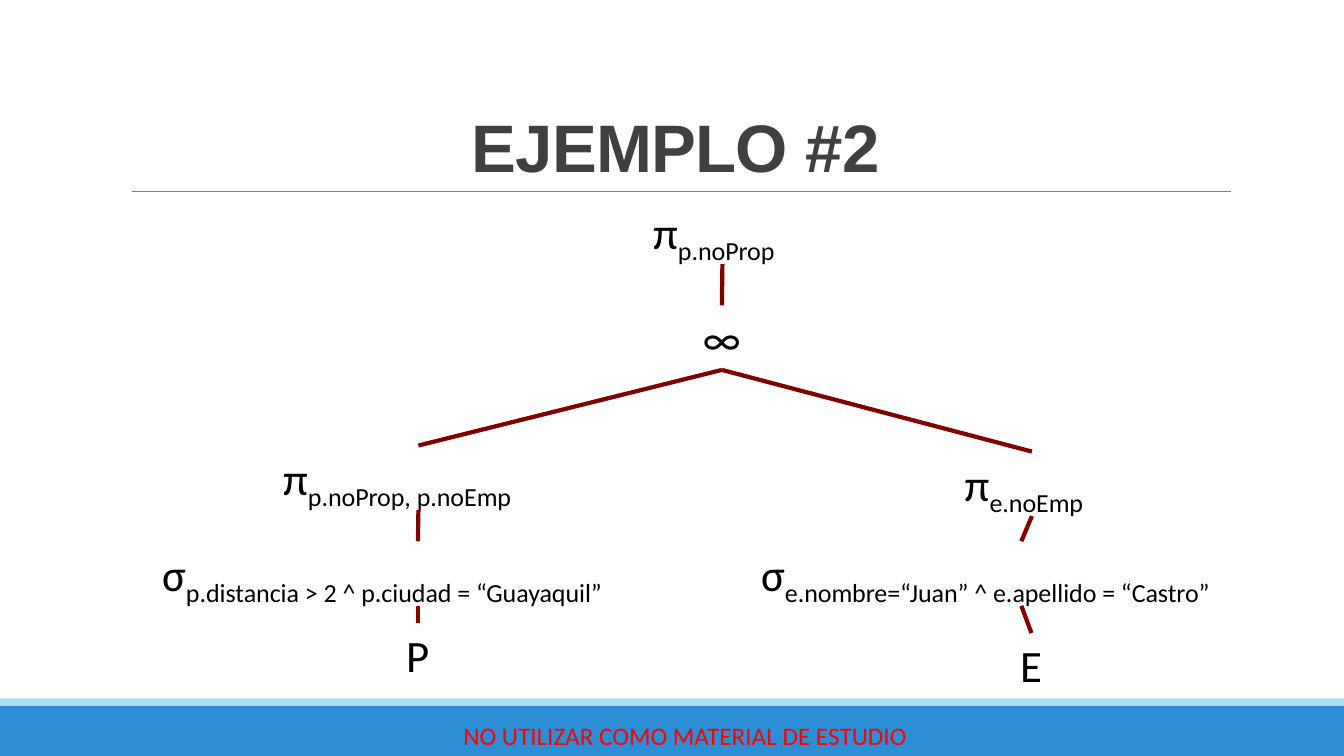
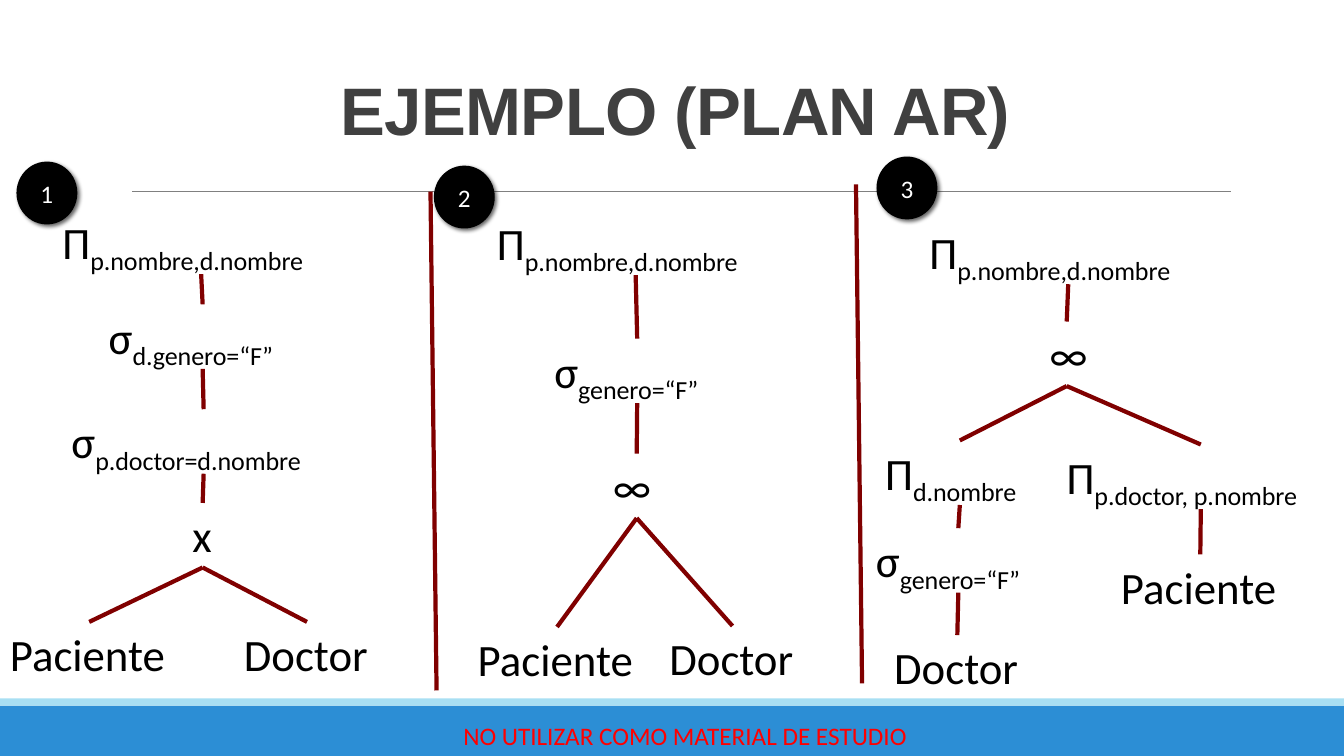
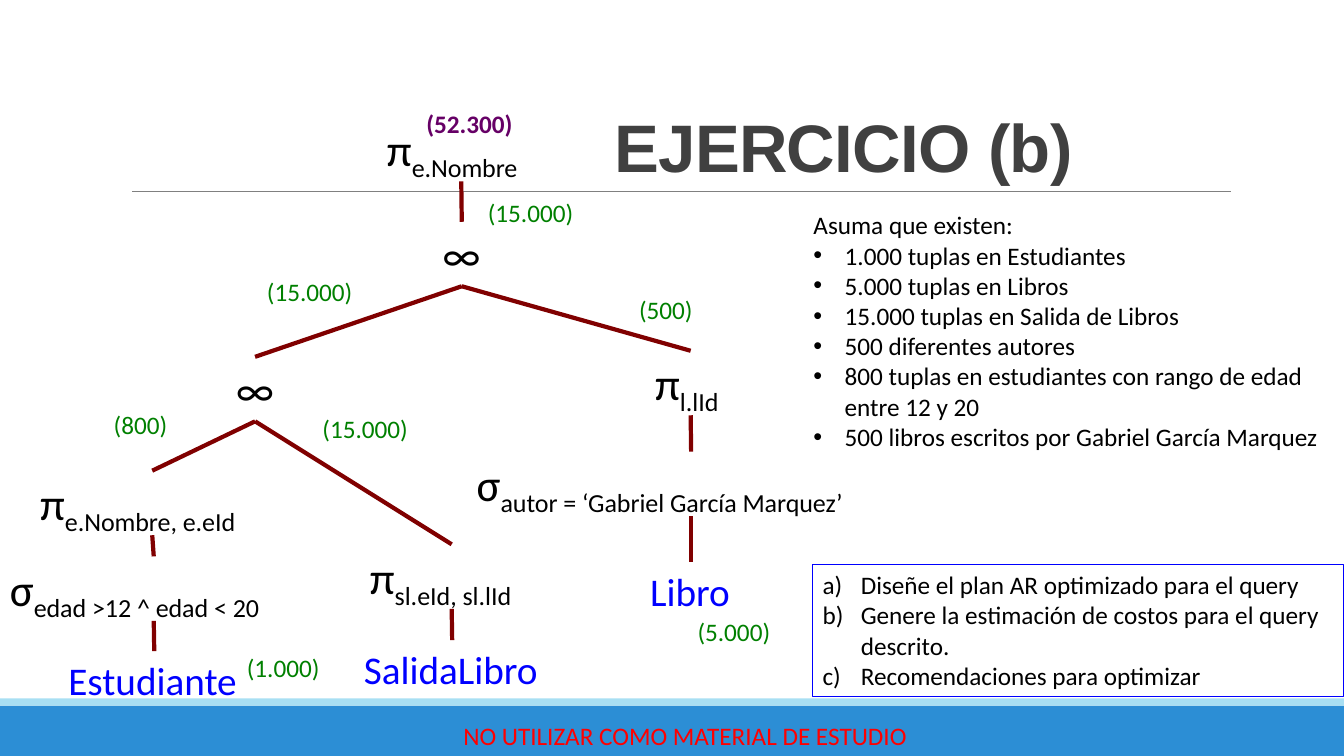
"""Build three slides of relational algebra query trees."""
import pptx
import pptx.dml.color
import pptx.enum.shapes
import pptx.enum.text
import pptx.oxml.ns
import pptx.util
from dataclasses import dataclass
from lxml import etree

Inches, Pt = pptx.util.Inches, pptx.util.Pt
RGB = pptx.dml.color.RGBColor.from_string
SHAPE = pptx.enum.shapes.MSO_SHAPE
STRAIGHT = pptx.enum.shapes.MSO_CONNECTOR.STRAIGHT
ALIGN = pptx.enum.text.PP_ALIGN
ANCHOR = pptx.enum.text.MSO_ANCHOR
FIT = pptx.enum.text.MSO_AUTO_SIZE.SHAPE_TO_FIT_TEXT
qn = pptx.oxml.ns.qn


@dataclass(frozen=True)
class Theme:
    heading_font: str = "Arial"
    body_font: str = "Calibri"
    title: str = "404040"
    ink: str = "000000"
    paper: str = "FFFFFF"
    band: str = "2C8ED5"
    strip: str = "A8DFF3"
    rule: str = "808080"
    notice: str = "FF0000"
    edge: str = "800000"
    blue: str = "0000FF"
    green: str = "008000"
    purple: str = "660066"
    title_size: int = 48
    node_size: int = 32
    leaf_size: int = 28
    body_size: int = 18


T = Theme()
FOOTER = "NO UTILIZAR COMO MATERIAL DE ESTUDIO"
JOINS = ("∞", "x")
PROJECTIONS = ("π", "Π")
BLUE_LEAF = dict(size=T.leaf_size, color=T.blue)

# Nodes: name, parent, symbol, subscript, left, top, width
EXAMPLE_TREE = [
    ("root", None, "π", "p.noProp", 6.38, 1.98, 1.57),
    ("join", "root", "∞", "", 6.87, 3.03, 0.58),
    ("p_cols", "join", "π", "p.noProp, p.noEmp", 2.71, 4.42, 2.88),
    ("p_rows", "p_cols", "σ", "p.distancia > 2 ^ p.ciudad = “Guayaquil”", 1.51, 5.37, 5.27),
    ("p", "p_rows", "P", "", 3.93, 6.18, 0.43),
    ("e_cols", "join", "π", "e.noEmp", 9.47, 4.48, 1.53),
    ("e_rows", "e_cols", "σ", "e.nombre=“Juan” ^ e.apellido = “Castro”", 7.45, 5.37, 5.36),
    ("e", "e_rows", "E", "", 10.02, 6.28, 0.42),
]
PLAN_TREES = [
    [
        ("root", None, "Π", "p.nombre,d.nombre", 0.52, 2.08, 2.95),
        ("genre", "root", "σ", "d.genero=“F”", 0.98, 3.02, 2.06),
        ("match", "genre", "σ", "p.doctor=d.nombre", 0.61, 4.06, 2.82),
        ("product", "match", "x", "", 1.81, 4.99, 0.4),
        ("patient", "product", "Paciente", "", 0, 6.17, 1.77),
        ("doctor", "product", "Doctor", "", 2.32, 6.17, 1.45),
    ],
    [
        ("root", None, "Π", "p.nombre,d.nombre", 4.83, 2.09, 2.95),
        ("genre", "root", "σ", "genero=“F”", 5.4, 3.36, 1.84),
        ("join", "genre", "∞", "", 5.98, 4.5, 0.67),
        ("patient", "join", "Paciente", "", 4.64, 6.22, 1.77),
        ("doctor", "join", "Doctor", "", 6.54, 6.21, 1.45),
    ],
    [
        ("root", None, "Π", "p.nombre,d.nombre", 9.12, 2.18, 2.95),
        ("join", "root", "∞", "", 10.31, 3.19, 0.54),
        ("d_cols", "join", "Π", "d.nombre", 8.68, 4.37, 1.68),
        ("genre", "d_cols", "σ", "genero=“F”", 8.59, 5.24, 1.83),
        ("doctor", "genre", "Doctor", "", 8.77, 6.3, 1.45),
        ("p_cols", "join", "Π", "p.doctor, p.nombre", 10.48, 4.41, 2.86),
        ("patient", "p_cols", "Paciente", "", 11.02, 5.5, 1.77),
    ],
]
PLAN_DIVIDERS = [(4.33, 6.85, 4.27, 1.9), (8.55, 6.78, 8.49, 1.83)]
PLAN_BADGES = [(0.17, 1.61), (4.31, 1.65), (8.7, 1.56)]
EXERCISE_TREE = [
    ("root", None, "π", "e.Nombre", 3.74, 1.16, 1.67),
    ("book_join", "root", "∞", "", 4.29, 2.2, 0.58),
    ("loan_join", "book_join", "∞", "", 2.24, 3.54, 0.58),
    ("e_cols", "loan_join", "π", "e.Nombre, e.eId", 0.3, 4.67, 2.42),
    ("e_rows", "e_cols", "σ", "edad >12 ^ edad < 20", 0, 5.52, 3.05),
    ("student", "e_rows", "Estudiante", "", 0.58, 6.46, 1.9),
    ("sl_cols", "loan_join", "π", "sl.eId, sl.lId", 3.57, 5.4, 1.82),
    ("loan", "sl_cols", "SalidaLibro", "", 3.51, 6.35, 1.95),
    ("l_cols", "book_join", "π", "l.lId", 6.4, 3.48, 0.9),
    ("l_rows", "l_cols", "σ", "autor = ‘Gabriel García Marquez’", 4.63, 4.48, 4.45),
    ("book", "l_rows", "Libro", "", 6.35, 5.58, 1.01),
]
COSTS = [
    ("(1.000)", 2.35, 6.42, 0.93), ("(800)", 1.03, 4.01, 0.74),
    ("(15.000)", 3.1, 4.05, 1.06), ("(15.000)", 2.55, 2.69, 1.06),
    ("(5.000)", 6.82, 6.07, 0.93), ("(500)", 6.24, 2.87, 0.74),
    ("(15.000)", 4.74, 1.91, 1.06),
]
TOTAL_COST = ("(52.300)", 4.13, 1.03, 1.06)
ASSUMPTIONS = [
    "Asuma que existen:",
    "1.000 tuplas en Estudiantes",
    "5.000 tuplas en Libros",
    "15.000 tuplas en Salida de Libros",
    "500 diferentes autores",
    "800 tuplas en estudiantes con rango de edad entre 12 y 20",
    "500 libros escritos por Gabriel García Marquez",
]
TASKS = [
    "Diseñe el plan AR optimizado para el query",
    "Genere la estimación de costos para el query descrito.",
    "Recomendaciones para optimizar",
]


def add_bullet(p, indent, tag, **attrs):
    pPr = p._p.get_or_add_pPr()
    pPr.set("marL", str(Inches(indent)))
    pPr.set("indent", str(-Inches(indent)))
    etree.SubElement(pPr, qn("a:buFont"), typeface=T.heading_font if tag == "a:buChar" else "+mj-lt")
    etree.SubElement(pPr, qn(tag), **attrs)


def write(sp, lines, size=T.body_size, color=T.ink, font=T.body_font, bold=False,
          align=ALIGN.LEFT, anchor=ANCHOR.TOP, wrap=True, fit=False, sub="",
          line_spacing=None, tracking=None):
    tf = sp.text_frame
    tf.word_wrap = wrap
    tf.vertical_anchor = anchor
    if fit:
        tf.auto_size = FIT
    for i, line in enumerate(lines):
        p = tf.paragraphs[0] if i == 0 else tf.add_paragraph()
        p.alignment = align
        if line_spacing:
            p.line_spacing = line_spacing
        for text, baseline in ((line, None), (sub, "-25000")):
            if not text:
                continue
            r = p.add_run()
            r.text = text
            r.font.name, r.font.size, r.font.bold = font, Pt(size), bold
            r.font.color.rgb = RGB(color)
            if baseline:
                r._r.get_or_add_rPr().set("baseline", baseline)
            if tracking:
                r._r.get_or_add_rPr().set("spc", str(tracking))
    return tf


def add_box(s, x, y, w, h):
    return s.shapes.add_textbox(Inches(x), Inches(y), Inches(w), Inches(h))


def add_shape(s, kind, x, y, w, h, fill=None, line=None, weight=1):
    sp = s.shapes.add_shape(kind, Inches(x), Inches(y), Inches(w), Inches(h))
    sp.shadow.inherit = False
    if fill:
        sp.fill.solid()
        sp.fill.fore_color.rgb = RGB(fill)
    else:
        sp.fill.background()
    if line:
        sp.line.color.rgb = RGB(line)
        sp.line.width = Pt(weight)
    else:
        sp.line.fill.background()
    return sp


def add_line(s, x1=0, y1=0, x2=0, y2=0, color=T.edge, weight=3):
    line = s.shapes.add_connector(STRAIGHT, Inches(x1), Inches(y1), Inches(x2), Inches(y2))
    line.line.color.rgb = RGB(color)
    line.line.width = Pt(weight)
    etree.SubElement(line._element.spPr, qn("a:effectLst"))
    return line


def add_tree(s, nodes, leaf=None):
    placed = {}
    for name, parent, symbol, sub, x, y, w in nodes:
        is_leaf = not sub and symbol not in JOINS
        style = leaf if leaf and is_leaf else dict(size=T.node_size)
        h = 0.57 if style["size"] == T.leaf_size else 0.64
        if symbol in PROJECTIONS:
            sp = add_shape(s, SHAPE.RECTANGLE, x, y, w, h, T.paper)
        else:
            sp = add_box(s, x, y, w, h)
        write(sp, [symbol], sub=sub, wrap=False, fit=True, **style)
        placed[name] = sp
        if parent:
            edge = add_line(s)
            edge.begin_connect(placed[parent], 2)
            edge.end_connect(sp, 0)


def add_badge(s, number, x, y):
    sp = add_shape(s, SHAPE.OVAL, x, y, 0.59, 0.61, T.ink, T.ink)
    effects = sp._element.spPr.find(qn("a:effectLst"))
    shadow = etree.SubElement(effects, qn("a:outerShdw"), blurRad=str(Pt(3)), dist=str(Pt(2)),
                              dir="2700000", algn="tl", rotWithShape="0")
    color = etree.SubElement(shadow, qn("a:srgbClr"), val=T.ink)
    etree.SubElement(color, qn("a:alpha"), val="60000")
    write(sp, [str(number)], color=T.paper, align=ALIGN.CENTER, anchor=ANCHOR.MIDDLE)


def add_cost(s, text, x, y, w, **fmt):
    write(add_box(s, x, y, w, 0.4), [text], wrap=False, fit=True, **fmt)


def new_slide(prs, title, x=1.2, w=11, h=1.59):
    s = prs.slides.add_slide(prs.slide_layouts[6])
    add_shape(s, SHAPE.RECTANGLE, 0, 7, 13.33, 0.5, T.band)
    add_shape(s, SHAPE.RECTANGLE, 0, 6.93, 13.33, 0.07, T.strip)
    add_line(s, 1.31, 1.9, 12.21, 1.9, T.rule, 0.5)
    write(add_box(s, 4.16, 7.1, 5.27, 0.4), [FOOTER], color=T.notice,
          align=ALIGN.CENTER, anchor=ANCHOR.MIDDLE)
    write(add_box(s, x, 0.31, w, h), [title], size=T.title_size, color=T.title,
          font=T.heading_font, bold=True, align=ALIGN.CENTER, anchor=ANCHOR.BOTTOM,
          line_spacing=0.85, tracking=-50)
    return s


def build_example(prs):
    add_tree(new_slide(prs, "EJEMPLO #2"), EXAMPLE_TREE)


def build_plan(prs):
    s = new_slide(prs, "EJEMPLO (PLAN AR)", h=1.22)
    for divider in PLAN_DIVIDERS:
        add_line(s, *divider)
    for tree in PLAN_TREES:
        add_tree(s, tree)
    for number, spot in enumerate(PLAN_BADGES, 1):
        add_badge(s, number, *spot)


def build_exercise(prs):
    s = new_slide(prs, "EJERCICIO (b)", x=4.53, w=7.67)
    tf = write(add_box(s, 7.97, 2.03, 5.36, 2.52), ASSUMPTIONS, fit=True)
    for p in tf.paragraphs[1:]:
        add_bullet(p, 0.31, "a:buChar", char="•")
    sp = add_shape(s, SHAPE.RECTANGLE, 8.06, 5.6, 5.27, 1.31, line=T.blue, weight=0.75)
    for p in write(sp, TASKS, fit=True).paragraphs:
        add_bullet(p, 0.38, "a:buAutoNum", type="alphaLcParenR")
    add_tree(s, EXERCISE_TREE, BLUE_LEAF)
    for cost in COSTS:
        add_cost(s, *cost, color=T.green)
    add_cost(s, *TOTAL_COST, color=T.purple, bold=True)


def main():
    prs = pptx.Presentation()
    prs.slide_width, prs.slide_height = Inches(13.33), Inches(7.5)
    for build in (build_example, build_plan, build_exercise):
        build(prs)
    prs.save("out.pptx")


if __name__ == "__main__":
    main()
